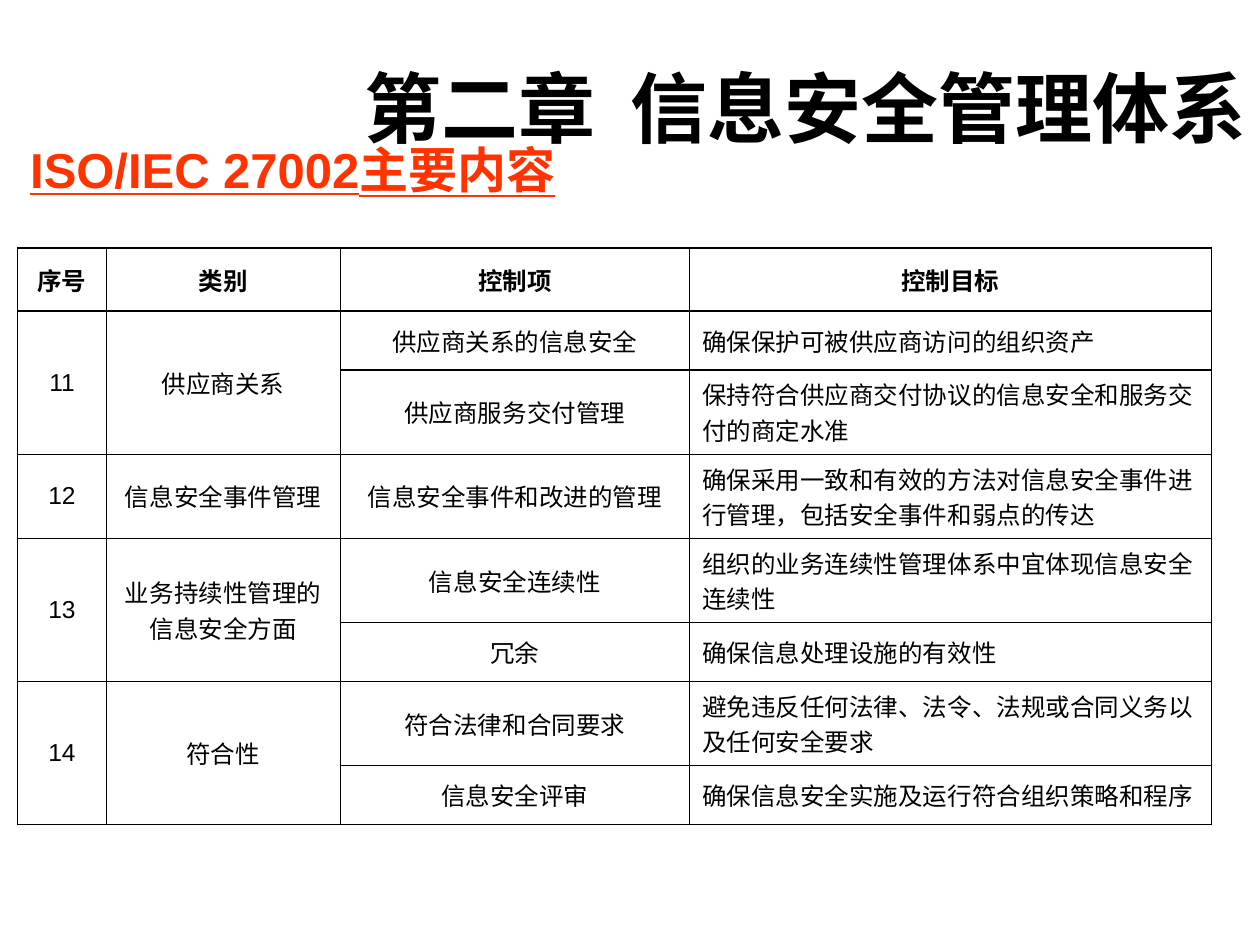
"""Build the slide that lists control categories 11 to 14 of ISO/IEC 27002."""

from dataclasses import dataclass
from itertools import chain
from typing import Any

from lxml.etree import SubElement
from pptx import Presentation
from pptx.dml.color import RGBColor
from pptx.enum.text import MSO_ANCHOR as Anchor, PP_ALIGN as Align
from pptx.oxml.ns import qn
from pptx.util import Cm, Pt


@dataclass(frozen=True)
class Theme:
    ink: str = "000000"
    accent: str = "FF3300"
    latin: str = "Arial"
    asian: str = "Noto Sans CJK SC"
    title_size: int = 44
    subtitle_size: int = 28
    table_size: int = 14
    border: float = 0.75


@dataclass(frozen=True)
class Control:
    name: str
    goal: str
    height: float


@dataclass(frozen=True)
class Category:
    number: str
    name: str
    controls: tuple[Control, ...]


THEME = Theme()
ONE_LINE, TWO_LINES, HEADER_HEIGHT = 1.19, 1.45, 1.27
COLUMN_WIDTHS = (1.78, 4.72, 7.04, 10.52)
HEADINGS = ("序号", "类别", "控制项", "控制目标")
CATEGORIES = (
    Category("11", "供应商关系", (
        Control("供应商关系的信息安全", "确保保护可被供应商访问的组织资产", ONE_LINE),
        Control("供应商服务交付管理", "保持符合供应商交付协议的信息安全和服务交付的商定水准", TWO_LINES),
    )),
    Category("12", "信息安全事件管理", (
        Control("信息安全事件和改进的管理",
                "确保采用一致和有效的方法对信息安全事件进行管理，包括安全事件和弱点的传达", TWO_LINES),
    )),
    Category("13", "业务持续性管理的信息安全方面", (
        Control("信息安全连续性", "组织的业务连续性管理体系中宜体现信息安全连续性", TWO_LINES),
        Control("冗余", "确保信息处理设施的有效性", ONE_LINE),
    )),
    Category("14", "符合性", (
        Control("符合法律和合同要求", "避免违反任何法律、法令、法规或合同义务以及任何安全要求", TWO_LINES),
        Control("信息安全评审", "确保信息安全实施及运行符合组织策略和程序", ONE_LINE),
    )),
)


def write(frame: Any, text: str, align: Align, color: str = THEME.ink, **font_format: Any) -> None:
    """Put one formatted paragraph into a text frame."""
    paragraph = frame.paragraphs[0]
    paragraph.alignment = align
    run = paragraph.add_run()
    run.text = text
    for attribute, value in ({"name": THEME.latin} | font_format).items():
        setattr(run.font, attribute, value)
    run.font.color.rgb = RGBColor.from_string(color)
    SubElement(run.font._element, qn("a:ea"), typeface=THEME.asian)


def outline(cell: Any) -> None:
    """Give a cell thin borders and no fill."""
    properties = cell._tc.get_or_add_tcPr()
    for side in ("lnL", "lnR", "lnT", "lnB"):
        line = SubElement(properties, qn(f"a:{side}"), w=str(Pt(THEME.border)))
        fill = SubElement(line, qn("a:solidFill"))
        SubElement(fill, qn("a:srgbClr"), val=THEME.ink)
    cell.fill.background()


def fill_cell(cell: Any, text: str, align: Align = Align.CENTER, bold: bool = False) -> None:
    """Write vertically centred text into a table cell."""
    cell.vertical_anchor = Anchor.MIDDLE
    write(cell.text_frame, text, align, size=Pt(THEME.table_size), bold=bold)


def add_controls(slide: Any) -> None:
    """Draw the table of categories, controls and goals."""
    controls = chain.from_iterable(category.controls for category in CATEGORIES)
    heights = [HEADER_HEIGHT, *(control.height for control in controls)]
    table = slide.shapes.add_table(
        len(heights), len(COLUMN_WIDTHS), Cm(0.36), Cm(5), Cm(sum(COLUMN_WIDTHS)), Cm(sum(heights))
    ).table
    table.first_row = table.horz_banding = False
    for column, width in zip(table.columns, COLUMN_WIDTHS):
        column.width = Cm(width)
    for row, height in zip(table.rows, heights):
        row.height = Cm(height)
    for cell in table.iter_cells():
        outline(cell)
    for column, heading in enumerate(HEADINGS):
        fill_cell(table.cell(0, column), heading, bold=True)

    first = 1
    for category in CATEGORIES:
        last = first + len(category.controls) - 1
        for column, label in enumerate((category.number, category.name)):
            if last > first:
                table.cell(first, column).merge(table.cell(last, column))
            fill_cell(table.cell(first, column), label)
        for row, control in enumerate(category.controls, first):
            fill_cell(table.cell(row, 2), control.name)
            fill_cell(table.cell(row, 3), control.goal, Align.LEFT)
        first = last + 1


def main() -> None:
    """Assemble and save the slide."""
    deck = Presentation()
    deck.slide_width, deck.slide_height = Cm(25.4), Cm(19.05)
    slide = deck.slides.add_slide(deck.slide_layouts[5])

    title = slide.shapes.title
    title.left, title.top, title.width, title.height = Cm(4.01), Cm(1.47), Cm(21.39), Cm(1.35)
    title.text_frame.vertical_anchor = Anchor.MIDDLE
    write(title.text_frame, "第二章  信息安全管理体系", Align.RIGHT,
          name=THEME.asian, size=Pt(THEME.title_size), bold=True)

    add_controls(slide)

    subtitle = slide.shapes.add_textbox(Cm(0.36), Cm(2.69), Cm(25.4), Cm(1.45)).text_frame
    subtitle.word_wrap = True
    write(subtitle, "ISO/IEC 27002主要内容", Align.LEFT, THEME.accent,
          size=Pt(THEME.subtitle_size), bold=True, underline=True)

    deck.save("out.pptx")


if __name__ == "__main__":
    main()
